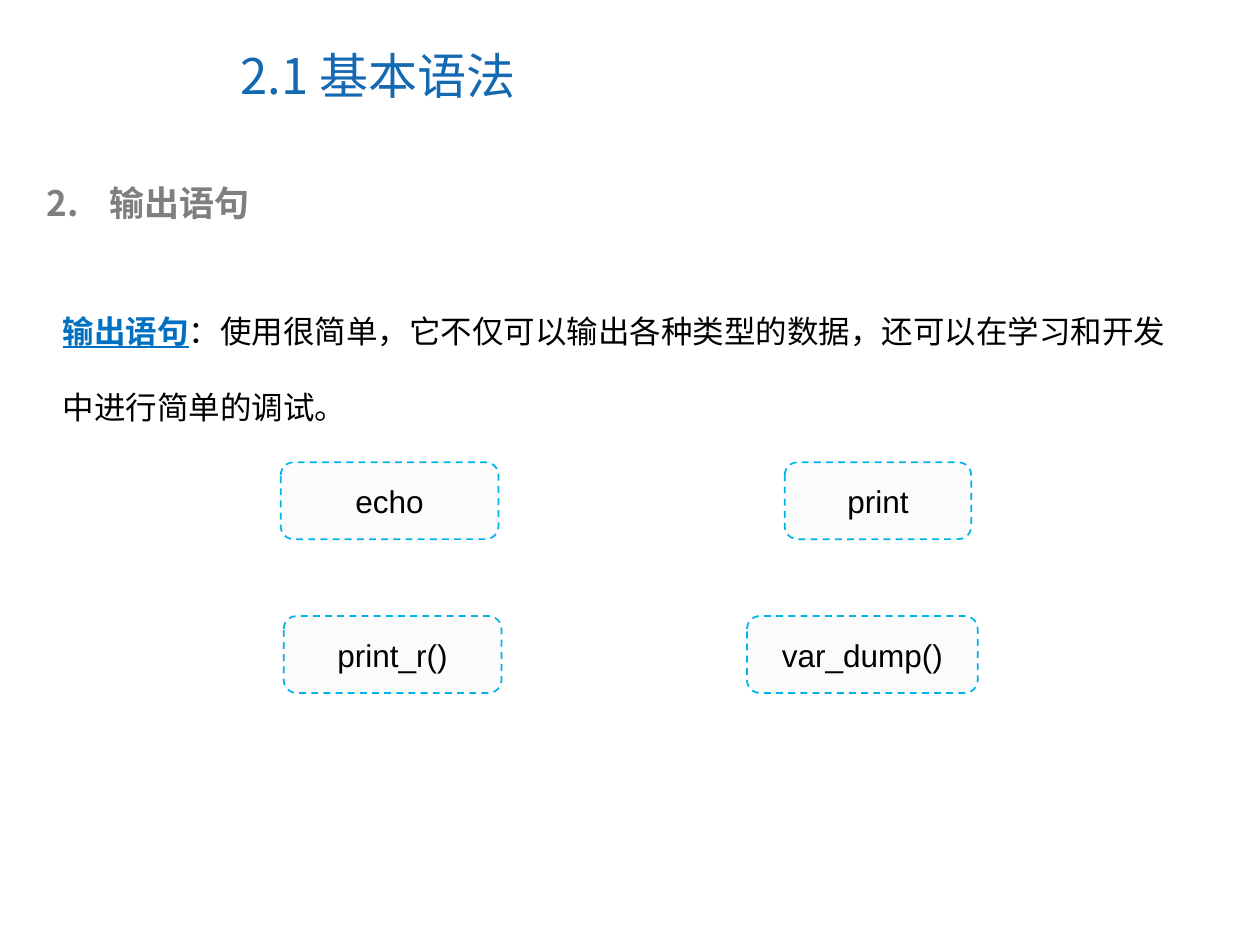
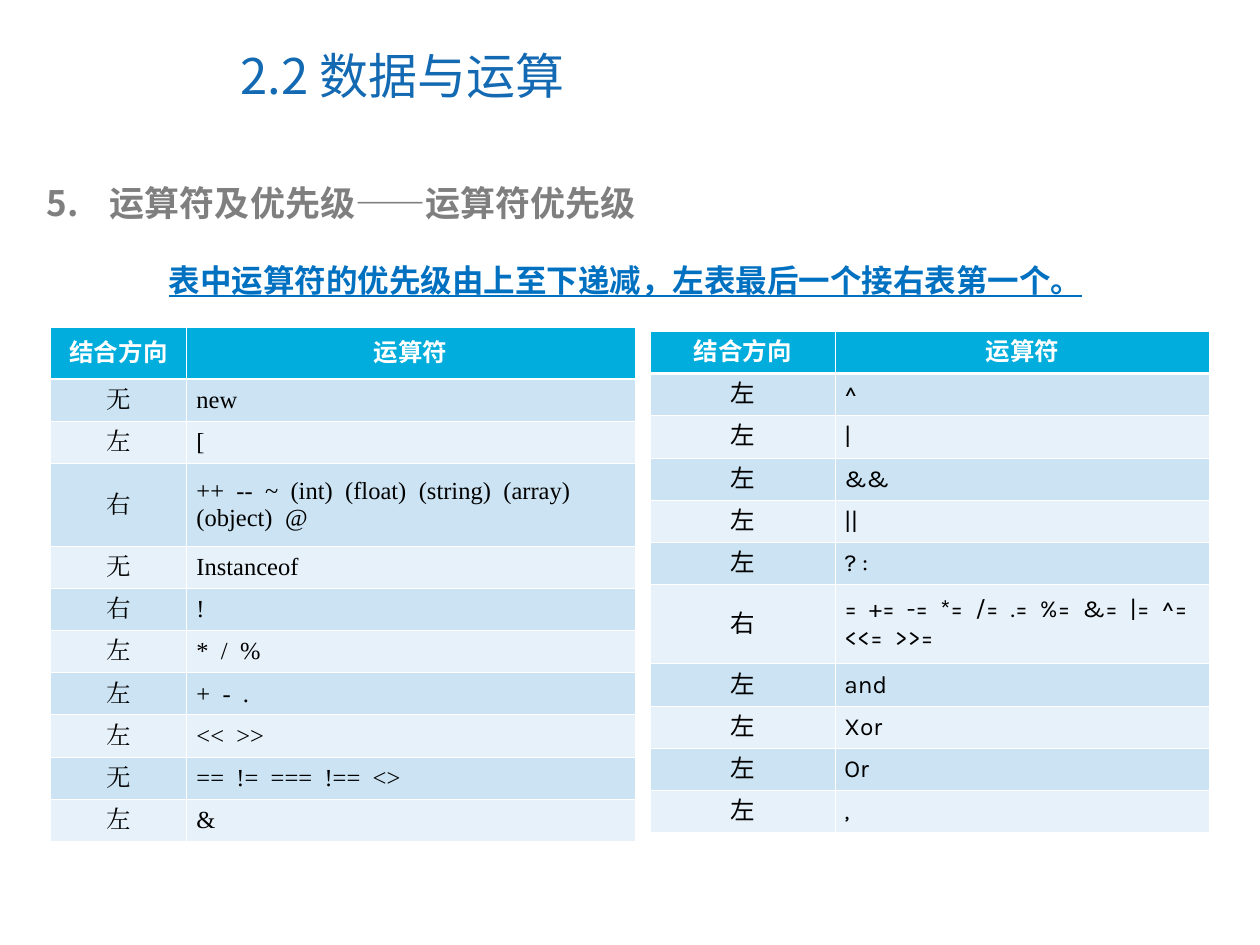
"""Build two slides on output statements and operator precedence."""
from lxml.etree import SubElement
from pptx import Presentation
from pptx.dml.color import RGBColor
from pptx.enum.dml import MSO_LINE
from pptx.enum.shapes import MSO_SHAPE
from pptx.enum.text import MSO_ANCHOR, PP_ALIGN
from pptx.oxml import parse_xml
from pptx.oxml.ns import nsdecls, qn
from pptx.util import Cm, Pt

SANS, ARIAL, TIMES, KARLA = "Noto Sans CJK SC", "Arial", "Times New Roman", "Karla"
TITLE, GREY, KEY, BLACK, WHITE = "1369B2", "7F7F7F", "0070C0", "000000", "FFFFFF"
PALE, EDGE, HEAD, BANDS = "FBFBFB", "00B4E9", "00ADDC", ("CBE3F2", "E7F1F9")

OUTPUT = dict(title="2.1 基本语法", start=2, topic="输出语句")
TERM = "输出语句"
USE = "：使用很简单，它不仅可以输出各种类型的数据，还可以在学习和开发中进行简单的调试。"
BOXES = [
    ("echo", 5.66, 9.32, 4.39),
    ("print", 15.82, 9.32, 3.76),
    ("print_r()", 5.72, 12.42, 4.39),
    ("var_dump()", 15.06, 12.42, 4.65),
]

ORDER = dict(title="2.2 数据与运算", start=5, topic="运算符及优先级——运算符优先级")
NOTE = "表中运算符的优先级由上至下递减，左表最后一个接右表第一个。"
LABELS = ("结合方向", "运算符")
LEFT = [
    ("无", "new"),
    ("左", "["),
    ("右", "++", "--", "~", "(int)", "(float)", "(string)", "(array)", "(object)", "@"),
    ("无", "Instanceof"),
    ("右", "!"),
    ("左", "*", "/", "%"),
    ("左", "+", "-", "."),
    ("左", "<<", ">>"),
    ("无", "==", "!=", "===", "!==", "<>"),
    ("左", "&"),
]
RIGHT = [
    ("左", "^"),
    ("左", "|"),
    ("左", "&&"),
    ("左", "||"),
    ("左", "? :"),
    ("右", "=", "+=", "-=", "*=", "/=", ".=", "%=", "&=", "|=", "^=", "<<=", ">>="),
    ("左", "and"),
    ("左", "Xor"),
    ("左", "Or"),
    ("左", ","),
]
GRIDS = [
    dict(rows=LEFT, face=TIMES, x=1.02, y=6.6, cols=(2.74, 9.04), top=1.04, tall=1.67, pad=0.2),
    dict(rows=RIGHT, face=KARLA, x=13.11, y=6.68, cols=(3.73, 7.54), top=0.85, tall=1.6, pad=0.18),
]
ROW = 0.85


def color(code):
    return RGBColor.from_string(code)


def style(run, size, face, code, bold=False, line=False):
    font = run.font
    font.size, font.name, font.bold, font.underline = Pt(size), face, bold, line
    font.color.rgb = color(code)
    SubElement(run._r.get_or_add_rPr(), qn("a:ea")).set("typeface", face)


def place(shape, x, y, w, h):
    shape.left, shape.top, shape.width, shape.height = Cm(x), Cm(y), Cm(w), Cm(h)


def start(deck, title, start, topic):
    slide = deck.slides.add_slide(deck.slide_layouts[1])
    head, body = slide.placeholders
    place(head, 4.6, 0.43, 13.11, 2.16)
    place(body, 0.69, 3.53, 23.42, 1.12)
    head.text_frame.text, body.text_frame.text = title, topic
    para = head.text_frame.paragraphs[0]
    para.alignment = PP_ALIGN.LEFT
    style(para.runs[0], 28, SANS, TITLE)
    para = body.text_frame.paragraphs[0]
    para.space_before = Pt(0)
    props = para._p.get_or_add_pPr()
    props.set("marL", str(Cm(1.27)))
    props.set("indent", str(-Cm(1.27)))
    tint = SubElement(props, qn("a:buClr"))
    SubElement(tint, qn("a:srgbClr")).set("val", GREY)
    SubElement(props, qn("a:buFont")).set("typeface", SANS)
    mark = SubElement(props, qn("a:buAutoNum"))
    mark.set("type", "arabicPeriod")
    mark.set("startAt", str(start))
    style(para.runs[0], 20, SANS, GREY, True)
    return slide


def add_note(slide, spot, key, rest="", wrap=True):
    frame = slide.shapes.add_textbox(*map(Cm, spot)).text_frame
    frame.word_wrap = wrap
    frame.text = key
    para = frame.paragraphs[0]
    style(para.runs[0], 18, ARIAL, KEY, True, True)
    if rest:
        para.line_spacing = 2.0
        run = para.add_run()
        run.text = rest
        style(run, 18, ARIAL, BLACK)


def add_box(slide, text, x, y, w):
    box = slide.shapes.add_shape(MSO_SHAPE.ROUNDED_RECTANGLE, Cm(x), Cm(y), Cm(w), Cm(1.55))
    box.shadow.inherit = False
    box.fill.solid()
    box.fill.fore_color.rgb = color(PALE)
    box.line.color.rgb = color(EDGE)
    box.line.width = Pt(1)
    box.line.dash_style = MSO_LINE.DASH
    box.text_frame.text = text
    box.text_frame.vertical_anchor = MSO_ANCHOR.MIDDLE
    para = box.text_frame.paragraphs[0]
    para.alignment = PP_ALIGN.CENTER
    style(para.runs[0], 18, ARIAL, BLACK)


def border(cell, row):
    props = cell._tc.get_or_add_tcPr()
    thick = {"T": row == 1, "B": row == 0}
    for spot, side in enumerate("LRTB"):
        width = Pt(1.47 if thick.get(side) else 0.45)
        props.insert(spot, parse_xml(
            f'<a:ln{side} {nsdecls("a")} w="{width}"><a:solidFill>'
            f'<a:srgbClr val="{WHITE}"/></a:solidFill></a:ln{side}>'))


def fill_cell(cell, words, row, mid, face, pad):
    cell.fill.solid()
    cell.fill.fore_color.rgb = color(BANDS[(row - 1) % 2] if row else HEAD)
    border(cell, row)
    cell.vertical_anchor = MSO_ANCHOR.MIDDLE
    cell.margin_left = cell.margin_right = Cm(pad)
    para = cell.text_frame.paragraphs[0]
    para.alignment = PP_ALIGN.CENTER if mid else PP_ALIGN.LEFT
    look = (14, face, BLACK) if row else (14, KARLA, WHITE, True)
    for spot, word in enumerate(words):
        if spot:
            gap = para.add_run()
            gap.text = " "
            style(gap, *look)
            gap._r.get_or_add_rPr().set("spc", "350")
        run = para.add_run()
        run.text = word
        style(run, *look)


def add_grid(slide, rows, face, x, y, cols, top, tall, pad):
    lines = [LABELS, *rows]
    highs = [top] + [tall if len(line) > 8 else ROW for line in rows]
    sizes = (x, y, sum(cols), sum(highs))
    table = slide.shapes.add_table(len(lines), len(cols), *map(Cm, sizes)).table
    for col, wide in zip(table.columns, cols):
        col.width = Cm(wide)
    for row, (line, high) in enumerate(zip(lines, highs)):
        table.rows[row].height = Cm(high)
        side, *signs = line
        fill_cell(table.cell(row, 0), [side], row, True, face, pad)
        fill_cell(table.cell(row, 1), signs, row, row == 0, face, pad)


def main():
    deck = Presentation()
    deck.slide_width, deck.slide_height = Cm(25.4), Cm(19.05)
    slide = start(deck, **OUTPUT)
    add_note(slide, (1.02, 5.41, 23.34, 3.3), TERM, USE)
    for box in BOXES:
        add_box(slide, *box)
    slide = start(deck, **ORDER)
    add_note(slide, (3.15, 5.13, 18.92, 1.02), NOTE, wrap=False)
    for grid in GRIDS:
        add_grid(slide, **grid)
    deck.save("out.pptx")


if __name__ == "__main__":
    main()
